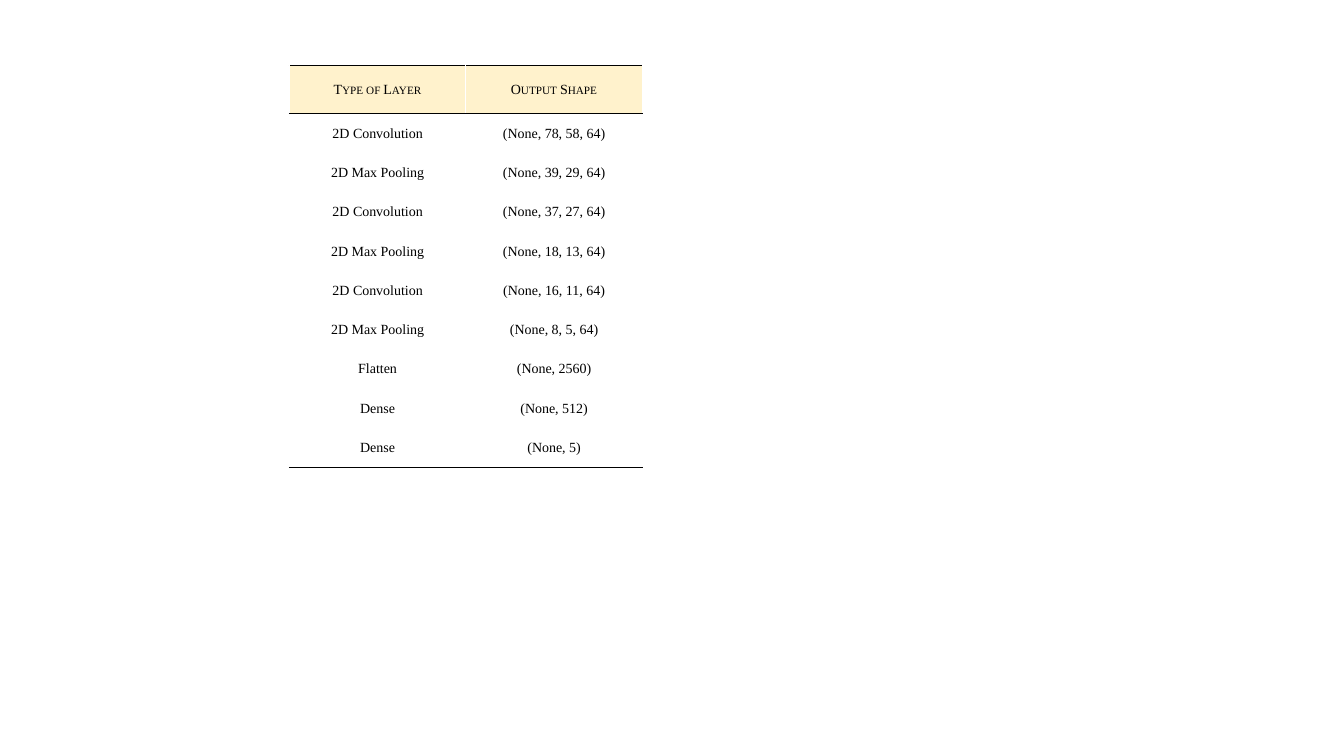
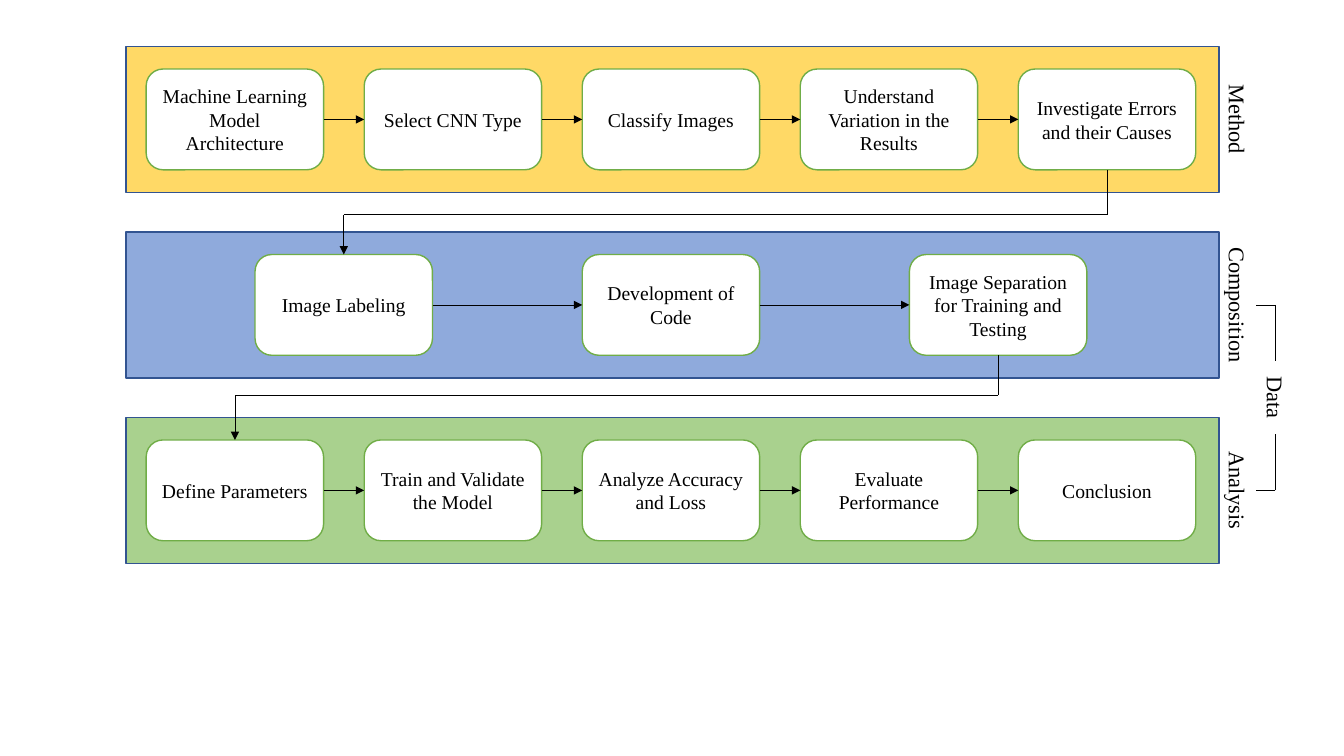
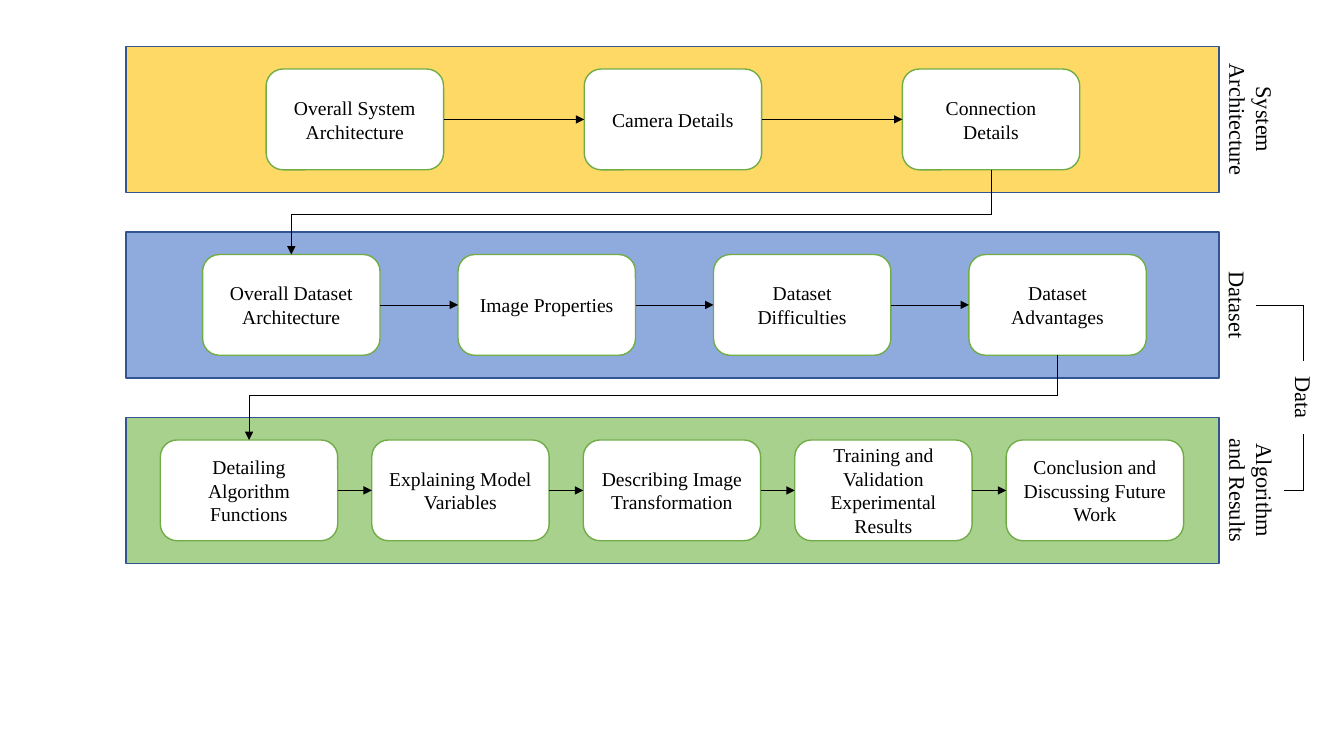
from pptx import Presentation
from pptx.dml.color import RGBColor
from pptx.enum.shapes import MSO_CONNECTOR, MSO_SHAPE
from pptx.enum.text import MSO_ANCHOR, PP_ALIGN
from pptx.oxml.ns import qn
from pptx.util import Inches, Pt
from lxml import etree

RECTANGLE = MSO_SHAPE.RECTANGLE
ROUNDED = MSO_SHAPE.ROUNDED_RECTANGLE
STRAIGHT = MSO_CONNECTOR.STRAIGHT
MIDDLE = MSO_ANCHOR.MIDDLE
CENTER = PP_ALIGN.CENTER
TOP, LEFT, BOTTOM, RIGHT = range(4)

COLORS = {
    "ink": "000000", "paper": "FFFFFF", "header": "FFF2CC",
    "band_line": "325491", "step_line": "70AD47",
    "yellow": "FFD966", "blue": "8FAADC", "green": "A9D18E",
}
FONT = "Times New Roman"

LAYERS = [
    ("Type of Layer", "Output Shape"),
    ("2D Convolution", "(None, 78, 58, 64)"),
    ("2D Max Pooling", "(None, 39, 29, 64)"),
    ("2D Convolution", "(None, 37, 27, 64)"),
    ("2D Max Pooling", "(None, 18, 13, 64)"),
    ("2D Convolution", "(None, 16, 11, 64)"),
    ("2D Max Pooling", "(None, 8, 5, 64)"),
    ("Flatten", "(None, 2560)"),
    ("Dense", "(None, 512)"),
    ("Dense", "(None, 5)"),
]

FLOWS = [
    {"data_x": 12.65, "bands": [
        {"label": "Method", "lines": 1, "first": 1.45, "last": 10.1, "steps": [
            "Machine Learning Model Architecture", "Select CNN Type", "Classify Images",
            "Understand Variation in the Results", "Investigate Errors and their Causes"]},
        {"label": "Composition", "lines": 1, "first": 2.53, "last": 9.02, "steps": [
            "Image Labeling", "Development of Code",
            "Image Separation for Training and Testing"]},
        {"label": "Analysis", "lines": 1, "first": 1.45, "last": 10.1, "steps": [
            "Define Parameters", "Train and Validate the Model",
            "Analyze Accuracy and Loss", "Evaluate Performance", "Conclusion"]},
    ]},
    {"data_x": 12.93, "bands": [
        {"label": "System Architecture", "lines": 2, "first": 2.64, "last": 8.95, "steps": [
            "Overall System Architecture", "Camera Details", "Connection Details"]},
        {"label": "Dataset", "lines": 1, "first": 2.01, "last": 9.61, "steps": [
            "Overall Dataset Architecture", "Image Properties",
            "Dataset Difficulties", "Dataset Advantages"]},
        {"label": "Algorithm and Results", "lines": 2, "first": 1.59, "last": 9.98, "steps": [
            "Detailing Algorithm Functions", "Explaining Model Variables",
            "Describing Image Transformation",
            "Training and Validation Experimental Results",
            "Conclusion and Discussing Future Work"]},
    ]},
]

BAND_COLORS = ["yellow", "blue", "green"]
BAND_LEFT, BAND_TOP, BAND_WIDTH, BAND_HEIGHT, BAND_PITCH = 1.25, 0.46, 10.84, 1.45, 1.84
STEP_WIDTH, STEP_HEIGHT = 1.76, 1
LINK_TOPS = [2.13, 3.92]
LABEL_LEFT = BAND_LEFT + BAND_WIDTH
LABEL_HEIGHTS = {1: 0.37, 2: 0.64}
DATA_WIDTH = 0.72


def color(name):
    return RGBColor.from_string(COLORS[name])


def write(frame, text, size=14, small_caps=False):
    frame.word_wrap = True
    para = frame.paragraphs[0]
    para.alignment = CENTER
    span = para.add_run()
    span.text = text
    span.font.size = Pt(size)
    span.font.name = FONT
    span.font.color.rgb = color("ink")
    if small_caps:
        span.font._element.set("cap", "small")


def add_box(page, kind, left, top, width, height, fill, line):
    box = page.shapes.add_shape(kind, Inches(left), Inches(top), Inches(width), Inches(height))
    box.shadow.inherit = False
    box.fill.solid()
    box.fill.fore_color.rgb = color(fill)
    box.line.color.rgb = color(line)
    box.line.width = Pt(1)
    return box


def add_line(page, start, end, arrow=False, source=None, target=None):
    line = page.shapes.add_connector(STRAIGHT, *(Inches(value) for value in start + end))
    if source:
        line.begin_connect(*source)
    if target:
        line.end_connect(*target)
    line.line.color.rgb = color("ink")
    line.line.width = Pt(0.5)
    if arrow:
        etree.SubElement(line.line._get_or_add_ln(), qn("a:tailEnd"), type="triangle")
    etree.SubElement(line._element.spPr, qn("a:effectLst"))


def add_label(page, text, center_x, center_y, width, height):
    box = page.shapes.add_textbox(Inches(center_x - width / 2), Inches(center_y - height / 2),
                                  Inches(width), Inches(height))
    box.rotation = 90
    write(box.text_frame, text, size=16)


def set_border(cell, side, name):
    border = etree.SubElement(cell._tc.get_or_add_tcPr(), qn("a:ln" + side), w=str(Pt(1)))
    fill = etree.SubElement(border, qn("a:solidFill"))
    etree.SubElement(fill, qn("a:srgbClr"), val=COLORS[name])


def build_table(page):
    table = page.shapes.add_table(len(LAYERS), 2, Inches(2.87), Inches(0.65),
                                  Inches(3.5), Inches(3.99)).table
    table.first_row = table.horz_banding = False
    last = len(LAYERS) - 1
    for index, values in enumerate(LAYERS):
        table.rows[index].height = Inches(0.39 if index else 0.48)
        borders = {
            "L": "paper", "R": "paper",
            "T": "ink" if index in (0, 1) else "paper",
            "B": "ink" if index in (0, last) else "paper",
        }
        for column, value in enumerate(values):
            cell = table.cell(index, column)
            cell.vertical_anchor = MIDDLE
            cell.margin_left = cell.margin_right = Inches(0.07)
            cell.margin_top = cell.margin_bottom = 0
            for side, name in borders.items():
                set_border(cell, side, name)
            if index == 0:
                cell.fill.solid()
                cell.fill.fore_color.rgb = color("header")
            else:
                cell.fill.background()
            write(cell.text_frame, value, size=10, small_caps=index == 0)


def build_flow(page, flow):
    bands = flow["bands"]
    tops = [BAND_TOP + BAND_PITCH * index for index in range(len(bands))]
    middles = [top + BAND_HEIGHT / 2 for top in tops]
    for top, fill in zip(tops, BAND_COLORS):
        add_box(page, RECTANGLE, BAND_LEFT, top, BAND_WIDTH, BAND_HEIGHT, fill, "band_line")

    rows = []
    for band, middle in zip(bands, middles):
        pitch = (band["last"] - band["first"]) / (len(band["steps"]) - 1)
        row = []
        for index, text in enumerate(band["steps"]):
            left = band["first"] + pitch * index
            step = add_box(page, ROUNDED, left, middle - STEP_HEIGHT / 2,
                           STEP_WIDTH, STEP_HEIGHT, "paper", "step_line")
            step.text_frame.vertical_anchor = MIDDLE
            write(step.text_frame, text)
            if row:
                add_line(page, (left - pitch + STEP_WIDTH, middle), (left, middle), arrow=True,
                         source=(row[-1], RIGHT), target=(step, LEFT))
            row.append(step)
        rows.append(row)
        height = LABEL_HEIGHTS[band["lines"]]
        add_label(page, band["label"], LABEL_LEFT + height / 2, middle, BAND_HEIGHT, height)

    for index, link_top in enumerate(LINK_TOPS):
        start_x = bands[index]["last"] + STEP_WIDTH / 2
        end_x = bands[index + 1]["first"] + STEP_WIDTH / 2
        add_line(page, (start_x, middles[index] + STEP_HEIGHT / 2), (start_x, link_top),
                 source=(rows[index][-1], BOTTOM))
        add_line(page, (start_x, link_top), (end_x, link_top))
        add_line(page, (end_x, link_top), (end_x, middles[index + 1] - STEP_HEIGHT / 2),
                 arrow=True, target=(rows[index + 1][0], TOP))

    data_x = flow["data_x"]
    data_y = (middles[1] + middles[2]) / 2
    add_label(page, "Data", data_x, data_y, DATA_WIDTH, LABEL_HEIGHTS[1])
    for band, middle, side in zip(bands[1:], middles[1:], (-1, 1)):
        arm_x = LABEL_LEFT + LABEL_HEIGHTS[band["lines"]]
        add_line(page, (arm_x, middle), (data_x, middle))
        add_line(page, (data_x, middle), (data_x, data_y + side * DATA_WIDTH / 2))


def main():
    deck = Presentation()
    deck.slide_width, deck.slide_height = Inches(13.33), Inches(7.5)
    blank = deck.slide_layouts[6]
    build_table(deck.slides.add_slide(blank))
    for flow in FLOWS:
        build_flow(deck.slides.add_slide(blank), flow)
    deck.save("out.pptx")


if __name__ == "__main__":
    main()
